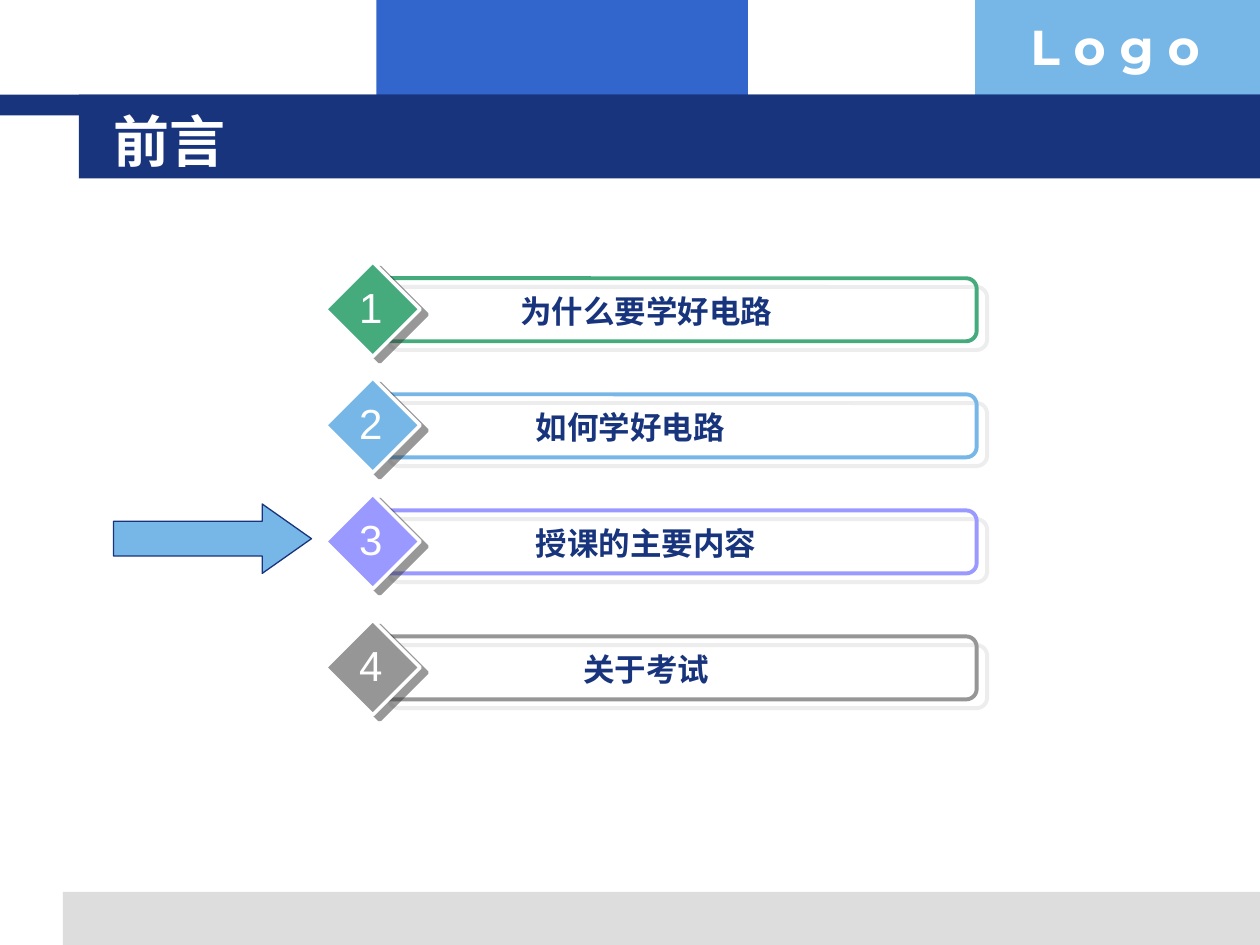
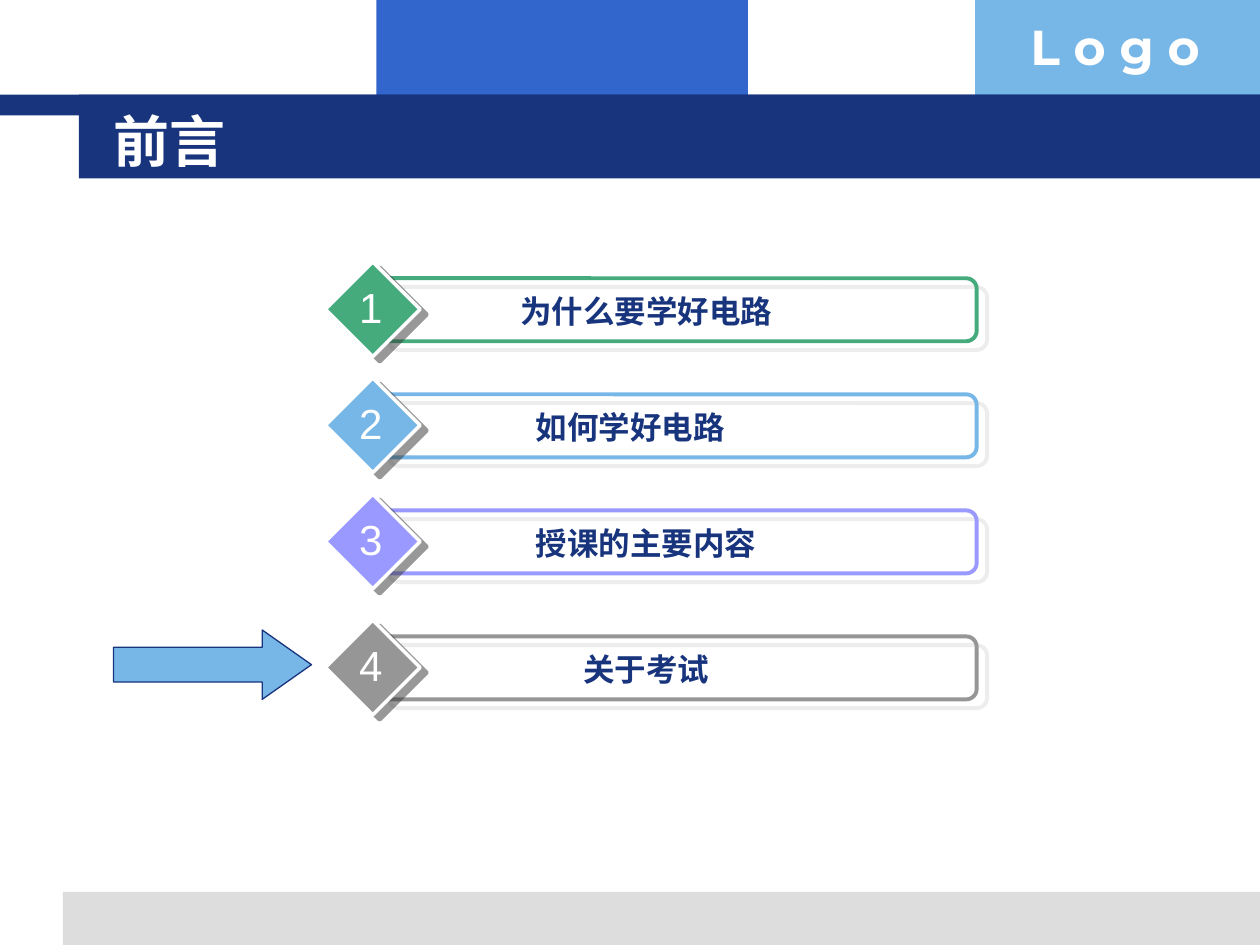
from lxml import etree
from pptx import Presentation, util as u
from pptx.dml import color
from pptx.enum import shapes, text
from pptx.oxml import ns

NAVY, SKY, WHITE = "17347D", "77B7E7", "FFFFFF"
PRESET = shapes.MSO_SHAPE
ALIGN = text.PP_ALIGN


def paint(target, value):
    if hasattr(target, "solid"):
        target.solid()
        target = target.fore_color
    else:
        target = target.color
    target.rgb = color.RGBColor.from_string(value)


def add_item(parent, box, preset=None, fill=None, line=None, width=0, shadow=None,
             label=None, font=None, size=18, ink=WHITE, bold=False, align=ALIGN.LEFT, wrap=True):
    place = [u.Cm(length) for length in box]
    if preset is None:
        shape = parent.add_textbox(*place)
        shape.text_frame.word_wrap = wrap
        shape.text_frame.auto_size = text.MSO_AUTO_SIZE.SHAPE_TO_FIT_TEXT
        shape.text_frame.text = label
        paragraph = shape.text_frame.paragraphs[0]
        paragraph.alignment = align
        paragraph.font.name = font
        paragraph.font.size = u.Pt(size)
        paragraph.font.bold = bold
        paint(paragraph.font, ink)
        return shape
    shape = parent.add_shape(preset, *place)
    shape.shadow.inherit = False
    if fill:
        paint(shape.fill, fill)
    else:
        shape.fill.background()
    if line:
        paint(shape.line, line)
        shape.line.width = u.Pt(width)
    else:
        shape.line.fill.background()
    if shadow:
        shade, distance, angle = shadow
        effects = shape.element.spPr.find(ns.qn("a:effectLst"))
        outer = etree.SubElement(effects, ns.qn("a:outerShdw"), dist=str(u.Pt(distance)),
                                 dir=str(angle * 60000), algn="ctr", rotWithShape="0")
        tone = etree.SubElement(outer, ns.qn("a:srgbClr"), val=shade)
        etree.SubElement(tone, ns.qn("a:alpha"), val="50000")
    return shape


presentation = Presentation()
presentation.slide_width = u.Cm(25.4)
presentation.slide_height = u.Cm(19.05)
layout = presentation.slide_layouts.get_by_name("Title Only")
slides = [presentation.slides.add_slide(layout) for _ in range(2)]

bands = [
    ((7.59, 0, 7.49, 2.34), "3366CC"),
    ((19.66, 0, 5.74, 2.34), SKY),
    ((1.27, 17.98, 24.13, 1.07), "DDDDDD"),
    ((0, 1.91, 25.4, 0.42), NAVY),
    ((1.59, 1.91, 23.81, 1.69), NAVY),
]
shared = [add_item(slides[0].shapes, box, PRESET.RECTANGLE, fill) for box, fill in bands]
shared.append(add_item(slides[0].shapes, (20.52, 0.2, 4.9, 1.45), label="L o g o",
                       font="Montserrat", size=28, bold=True))
for number, shape in enumerate(shared, 20):
    shape.element.nvSpPr.cNvPr.set("id", str(number))
    layout.shapes.element.append(shape.element)

topics = [
    ("为什么要学好电路", "45AB7D", 5.28),
    ("如何学好电路　", SKY, 7.62),
    ("授课的主要内容", "9999FF", 9.96),
    ("关于考试", "969696", 12.5),
]

for slide, current in zip(slides, (2, 3)):
    title = slide.shapes.title
    title.left, title.top, title.width, title.height = (
        u.Cm(length) for length in (2.03, 2.03, 21.67, 1.57))
    title.text_frame.text = "前言"
    title.text_frame.auto_size = text.MSO_AUTO_SIZE.NONE
    title.text_frame.vertical_anchor = text.MSO_ANCHOR.MIDDLE
    paragraph = title.text_frame.paragraphs[0]
    paragraph.alignment = ALIGN.LEFT
    paragraph.font.name = "DejaVu Sans"
    paragraph.font.size = u.Pt(32)
    paragraph.font.bold = True
    paint(paragraph.font, WHITE)

    for number, (topic, accent, top) in enumerate(topics, 1):
        row = slide.shapes.add_group_shape().shapes
        add_item(row, (7.62, top + 0.33, 12.07, 1.27), PRESET.ROUNDED_RECTANGLE,
                 line=accent, width=2.25, shadow=("DDDDDD", 7.8, 40))
        add_item(row, (6.56, top, 1.91, 1.91), PRESET.DIAMOND, fill=accent,
                 line=WHITE, width=2, shadow=("333333", 5, 37))
        add_item(row, (8.26, top + 0.48, 9.53, 1.02), label=topic, font="Arial",
                 ink=NAVY, bold=True, align=ALIGN.CENTER)
        add_item(row, (6.99, top + 0.27, 0.97, 1.27), label=str(number), font="Arial",
                 size=24, align=ALIGN.CENTER, wrap=False)

    arrow = add_item(slide.shapes, (2.29, topics[current][2] + 0.2, 3.99, 1.4),
                     PRESET.RIGHT_ARROW, fill=SKY, line=NAVY, width=0.75)
    arrow.adjustments[1] = 0.71

presentation.save("out.pptx")
